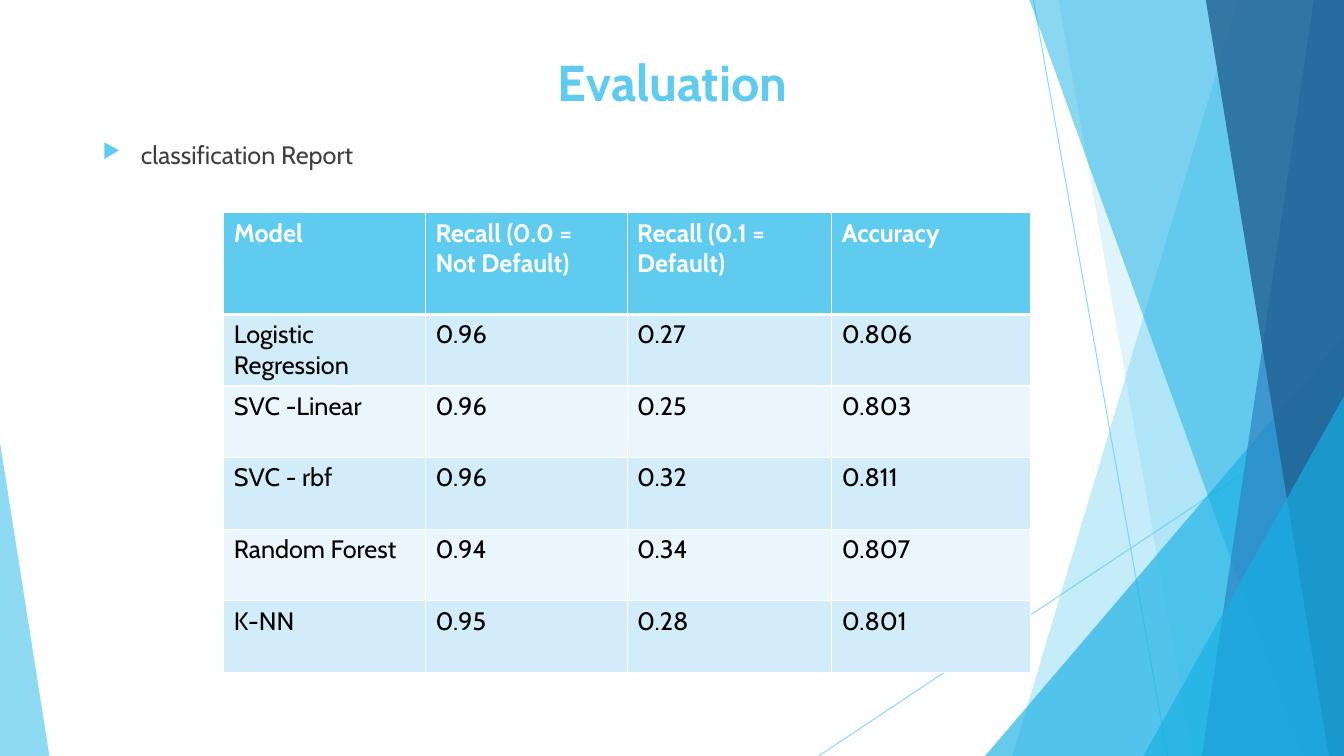
from dataclasses import dataclass

from lxml.etree import SubElement
from pptx import Presentation
from pptx.dml.color import RGBColor
from pptx.enum.shapes import MSO_CONNECTOR, MSO_SHAPE
from pptx.enum.text import MSO_ANCHOR, PP_ALIGN
from pptx.oxml import parse_xml
from pptx.oxml.ns import nsdecls, qn
from pptx.util import Inches, Pt


@dataclass(frozen=True)
class Theme:
    font: str = "Cabin"
    title_size: int = 36
    text_size: int = 18
    sky: str = "5FCBEF"
    cyan: str = "17B0E4"
    blue: str = "2E83C3"
    navy: str = "226292"
    band_dark: str = "D2ECF9"
    band_light: str = "EAF6FC"
    white: str = "FFFFFF"
    grey: str = "404040"
    black: str = "000000"


THEME = Theme()
WIDTH, HEIGHT = 13.33, 7.5

HEADER = ["Model", "Recall (0.0 = Not Default)", "Recall (0.1 = Default)", "Accuracy"]
SCORES = [
    ["Logistic Regression", "0.96", "0.27", "0.806"],
    ["SVC -Linear", "0.96", "0.25", "0.803"],
    ["SVC - rbf", "0.96", "0.32", "0.811"],
    ["Random Forest", "0.94", "0.34", "0.807"],
    ["K-NN", "0.95", "0.28", "0.801"],
]


def rgb(color):
    return RGBColor.from_string(color)


def set_opacity(fill_parent, percent):
    color = next(fill_parent.iter(qn("a:srgbClr")))
    SubElement(color, qn("a:alpha")).set("val", str(percent * 1000))


def paint(shape, color, opacity):
    shape.shadow.inherit = False
    shape.fill.solid()
    shape.fill.fore_color.rgb = rgb(color)
    shape.line.fill.background()
    set_opacity(shape.fill._xPr, opacity)


def add_ray(page, start, end):
    ray = page.shapes.add_connector(
        MSO_CONNECTOR.STRAIGHT, *[Inches(value) for value in start + end])
    ray.line.color.rgb = rgb(THEME.sky)
    ray.line.width = Pt(0.75)
    set_opacity(ray.line._ln, 70)
    SubElement(ray._element.spPr, qn("a:effectLst"))


def add_facet(page, top_x, bottom_x, color, opacity):
    """Fill from a slanted left edge to the right edge of the slide."""
    outline = page.shapes.build_freeform(Inches(top_x), 0)
    corners = [(WIDTH, 0), (WIDTH, HEIGHT), (bottom_x, HEIGHT)]
    outline.add_line_segments([(Inches(x), Inches(y)) for x, y in corners])
    paint(outline.convert_to_shape(), color, opacity)


def add_corner(page, left, width, height, apex, color, opacity):
    """Stand a right triangle on the bottom edge of the slide."""
    corner = page.shapes.add_shape(
        MSO_SHAPE.ISOSCELES_TRIANGLE, Inches(left), Inches(HEIGHT - height),
        Inches(width), Inches(height))
    corner.adjustments[0] = apex
    paint(corner, color, opacity)


def add_backdrop(page):
    add_ray(page, (10.25, 0), (11.58, HEIGHT))
    add_ray(page, (WIDTH, 4.03), (8.12, HEIGHT))
    add_facet(page, 12.28, 10.04, THEME.sky, 36)
    add_facet(page, 10.5, 11.83, THEME.sky, 20)
    add_corner(page, 9.77, 3.56, 4.17, 1, THEME.cyan, 66)
    add_facet(page, 10.21, 12.91, THEME.cyan, 50)
    add_facet(page, 13.03, 11.92, THEME.blue, 70)
    add_facet(page, 11.96, 13.18, THEME.navy, 80)
    add_corner(page, 11.34, 1.99, 3.57, 1, THEME.cyan, 66)
    add_corner(page, 0, 0.49, 3.11, 0, THEME.sky, 70)


def add_span(para, text, size, color, bold=False):
    span = para.add_run()
    span.text = text
    span.font.name = THEME.font
    span.font.size = Pt(size)
    span.font.bold = bold
    span.font.color.rgb = rgb(color)


def add_text_box(page, box, anchor):
    frame = page.shapes.add_textbox(*[Inches(value) for value in box]).text_frame
    frame.word_wrap = True
    frame.vertical_anchor = anchor
    return frame.paragraphs[0]


def add_title(page, box, text):
    para = add_text_box(page, box, MSO_ANCHOR.MIDDLE)
    para.alignment = PP_ALIGN.CENTER
    add_span(para, text, THEME.title_size, THEME.sky, bold=True)


def add_bullet(page, box, text):
    para = add_text_box(page, box, MSO_ANCHOR.TOP)
    para.space_before = Pt(10)
    add_span(para, text, THEME.text_size, THEME.grey)
    props = para._p.get_or_add_pPr()
    props.set("marL", str(Inches(0.38)))
    props.set("indent", str(-Inches(0.38)))
    color = SubElement(props, qn("a:buClr"))
    SubElement(color, qn("a:srgbClr")).set("val", THEME.sky)
    SubElement(props, qn("a:buSzPct")).set("val", "80000")
    SubElement(props, qn("a:buChar")).set("char", "▶")


def set_borders(cell, top, bottom):
    props = cell._tc.get_or_add_tcPr()
    widths = {"lnL": 1, "lnR": 1, "lnT": top, "lnB": bottom}
    for place, (side, width) in enumerate(widths.items()):
        props.insert(place, parse_xml(
            f'<a:{side} {nsdecls("a")} w="{Pt(width)}"><a:solidFill>'
            f'<a:srgbClr val="{THEME.white}"/></a:solidFill></a:{side}>'))


def add_score_table(page, left, top):
    widths = [2, 2, 2.03, 1.97]
    heights = [1.01] + [0.71] * len(SCORES)
    table = page.shapes.add_table(
        len(heights), len(widths), Inches(left), Inches(top),
        Inches(sum(widths)), Inches(sum(heights))).table
    for column, width in zip(table.columns, widths):
        column.width = Inches(width)
    for row, height in zip(table.rows, heights):
        row.height = Inches(height)
    for i, texts in enumerate([HEADER] + SCORES):
        is_header = i == 0
        band = THEME.band_dark if i % 2 else THEME.band_light
        for j, text in enumerate(texts):
            cell = table.cell(i, j)
            cell.fill.solid()
            cell.fill.fore_color.rgb = rgb(THEME.sky if is_header else band)
            set_borders(cell, top=3 if i == 1 else 1, bottom=3 if is_header else 1)
            add_span(cell.text_frame.paragraphs[0], text, THEME.text_size,
                     THEME.white if is_header else THEME.black, bold=is_header)


def main():
    deck = Presentation()
    deck.slide_width, deck.slide_height = Inches(WIDTH), Inches(HEIGHT)
    page = deck.slides.add_slide(deck.slide_layouts[6])
    add_backdrop(page)
    add_title(page, (0.92, 0.4, 11.5, 0.81), "Evaluation")
    add_bullet(page, (0.92, 1.33, 11.5, 5.42), "classification Report")
    add_score_table(page, 2.22, 2.11)
    deck.save("out.pptx")


if __name__ == "__main__":
    main()
